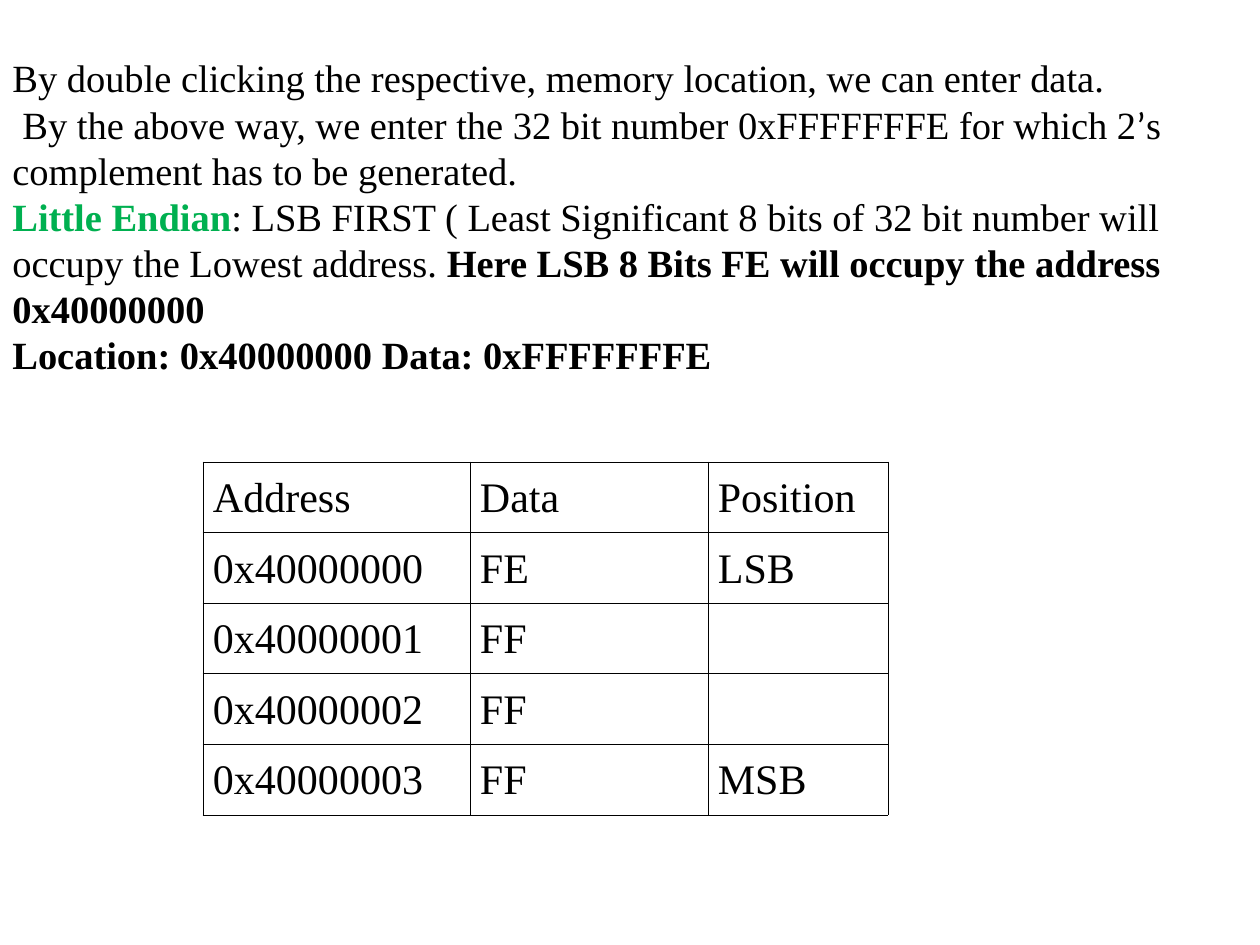
from lxml import etree
from pptx import Presentation
from pptx.dml.color import RGBColor
from pptx.enum.text import MSO_ANCHOR
from pptx.oxml.ns import qn
from pptx.util import Pt

PX = 914400 // 126
MIDDLE = MSO_ANCHOR.MIDDLE
SERIF = "Times New Roman"
BLACK, GREEN = "000000", "00B050"
BORDER_WIDTH = Pt(0.45)


def add_run(paragraph, text, size, color=BLACK, bold=False, name=SERIF):
    run = paragraph.add_run()
    run.text = text
    for key, value in {"size": Pt(size), "bold": bold, "name": name}.items():
        setattr(run.font, key, value)
    run.font.color.rgb = RGBColor.from_string(color)


def add_borders(cell):
    properties = cell._tc.get_or_add_tcPr()
    for position, side in enumerate(("lnL", "lnR", "lnT", "lnB")):
        line = etree.Element(qn(f"a:{side}"), w=str(BORDER_WIDTH))
        fill = etree.SubElement(line, qn("a:solidFill"))
        etree.SubElement(fill, qn("a:srgbClr"), val=BLACK)
        properties.insert(position, line)


prs = Presentation()
prs.slide_width, prs.slide_height = 1260 * PX, 945 * PX
slide = prs.slides.add_slide(prs.slide_layouts[6])

explanation = [
    [("By double clicking the respective, memory location, we can enter data.", {})],
    [
        ("By the above way, we enter the 32 bit number 0xFFFFFFFE for which 2", {}),
        ("’", {"name": "Calibri"}),
        ("s complement has to be generated.", {}),
    ],
    [
        ("Little Endian", {"color": GREEN, "bold": True}),
        (": LSB FIRST ( Least Significant 8 bits of 32 bit number will "
         "occupy the Lowest address. ", {}),
        ("Here LSB 8 Bits FE will occupy the address 0x40000000", {"bold": True}),
    ],
    [("Location: 0x40000000 Data: 0xFFFFFFFE", {"bold": True})],
]
frame = slide.shapes.add_textbox(0, 48 * PX, 1216 * PX, 336 * PX).text_frame
frame.word_wrap = True
frame.vertical_anchor = MIDDLE
for index, runs in enumerate(explanation):
    paragraph = frame.paragraphs[0] if index == 0 else frame.add_paragraph()
    for text, style in runs:
        add_run(paragraph, text, 22, **style)
frame.paragraphs[1]._p.get_or_add_pPr().set("indent", str(10 * PX))

memory_map = [
    ("Address", "Data", "Position"),
    ("0x40000000", "FE", "LSB"),
    ("0x40000001", "FF", ""),
    ("0x40000002", "FF", ""),
    ("0x40000003", "FF", "MSB"),
]
column_widths = [267, 238, 180]
row_height = 61
table = slide.shapes.add_table(
    len(memory_map), len(column_widths), 203 * PX, 462 * PX,
    sum(column_widths) * PX, row_height * len(memory_map) * PX,
).table
for column, width in zip(table.columns, column_widths):
    column.width = width * PX
for row, values in zip(table.rows, memory_map):
    row.height = row_height * PX
    for cell, value in zip(row.cells, values):
        cell.fill.background()
        cell.margin_left = cell.margin_right = 10 * PX
        add_borders(cell)
        if value:
            paragraph = cell.text_frame.paragraphs[0]
            paragraph.line_spacing = 1.15
            add_run(paragraph, value, 24)

prs.save("out.pptx")
